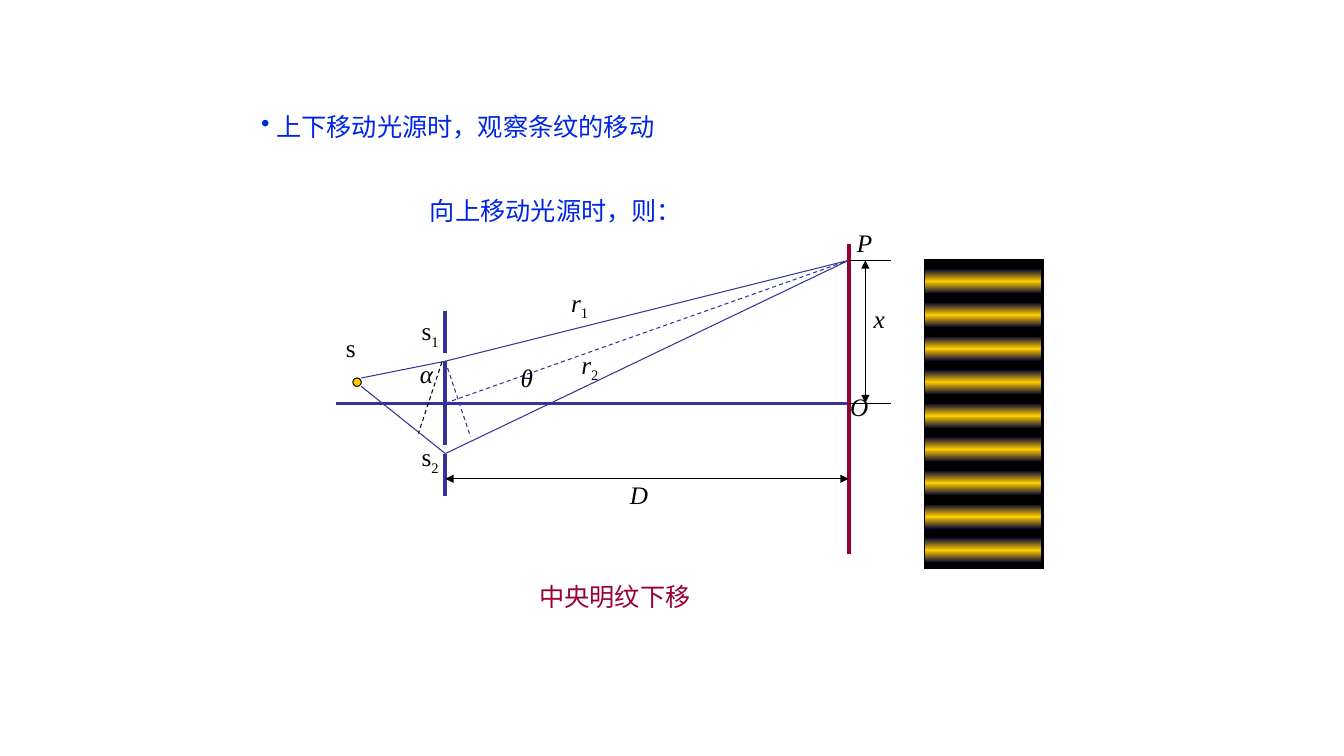
from lxml import etree
from pptx import Presentation
from pptx.dml.color import RGBColor
from pptx.enum.dml import MSO_LINE
from pptx.enum.shapes import MSO_CONNECTOR, MSO_SHAPE
from pptx.enum.text import MSO_ANCHOR, MSO_AUTO_SIZE, PP_ALIGN
from pptx.oxml.ns import qn
from pptx.util import Inches, Pt

COLORS = {
    "black": "000000",
    "indigo": "333399",
    "crimson": "990033",
    "blue": "0026E5",
    "gold": "FFCC00",
    "night": "000036",
}
FONT = "Times New Roman"
CELLS_PER_INCH = 12
SLIT_COLUMN, SCREEN_COLUMN, EDGE_COLUMN = 53, 101, 106
POINT_ROW, UPPER_ROW, AXIS_ROW, LOWER_ROW = 31, 43, 48, 54
BAND_COUNT, BAND_STEP = 9, 4


def grid(cells):
    return Inches(cells / CELLS_PER_INCH)


def color(name):
    return RGBColor.from_string(COLORS[name])


def add_line(slide, start, end, name="indigo", width=0.75, dashed=False, arrows=False):
    line = slide.shapes.add_connector(
        MSO_CONNECTOR.STRAIGHT, *[grid(cells) for cells in (*start, *end)])
    line.line.color.rgb = color(name)
    line.line.width = Pt(width)
    if dashed:
        line.line.dash_style = MSO_LINE.DASH
    if arrows:
        for tag in ("a:headEnd", "a:tailEnd"):
            etree.SubElement(line.line._ln, qn(tag), type="triangle")
    etree.SubElement(line._element.spPr, qn("a:effectLst"))


def add_filled(slide, kind, left, top, width, height, name):
    shape = slide.shapes.add_shape(
        kind, grid(left), grid(top), grid(width), grid(height))
    shape.shadow.inherit = False
    shape.fill.solid()
    shape.fill.fore_color.rgb = color(name)
    shape.line.color.rgb = color("black")
    shape.line.width = Pt(0.75)
    return shape


def add_band(slide, top):
    band = add_filled(slide, MSO_SHAPE.RECTANGLE, 110, top, 14, 3, "gold")
    band.fill.gradient()
    band.fill.gradient_angle = 90
    stops = band._element.spPr.find(qn("a:gradFill")).find(qn("a:gsLst"))
    for stop in list(stops):
        stops.remove(stop)
    for position, name in ((0, "night"), (50, "gold"), (100, "night")):
        stop = etree.SubElement(stops, qn("a:gs"), pos=str(position * 1000))
        etree.SubElement(stop, qn("a:srgbClr"), val=COLORS[name])


def add_text(slide, text, left, top, width, subscript="", name="black", italic=False,
             wrap=False, anchor=MSO_ANCHOR.TOP, align=PP_ALIGN.LEFT, bullet=False):
    box = slide.shapes.add_textbox(grid(left), grid(top), grid(width), grid(4.8))
    frame = box.text_frame
    frame.word_wrap = wrap
    frame.auto_size = MSO_AUTO_SIZE.SHAPE_TO_FIT_TEXT
    frame.vertical_anchor = anchor
    paragraph = frame.paragraphs[0]
    paragraph.alignment = align
    if bullet:
        properties = paragraph._p.get_or_add_pPr()
        indent = Inches(0.15)
        properties.set("marL", str(indent))
        properties.set("indent", str(-indent))
        etree.SubElement(properties, qn("a:buChar"), char="•")
    for index, content in enumerate(filter(None, (text, subscript))):
        run = paragraph.add_run()
        run.text = content
        run.font.name = FONT
        run.font.size = Pt(18)
        run.font.color.rgb = color(name)
        run.font.italic = italic and index == 0
        if index:
            run._r.get_or_add_rPr().set("baseline", "-25000")


def add_fringes(slide):
    add_filled(slide, MSO_SHAPE.RECTANGLE, 110, 30.85, 14.2, 36.85, "black")
    for index in range(BAND_COUNT):
        add_band(slide, 32 + index * BAND_STEP)


def add_apparatus(slide):
    add_line(slide, (40, AXIS_ROW), (SCREEN_COLUMN, AXIS_ROW), width=2.25)
    for top, bottom in ((37, 42), (43, 53), (54, 59)):
        add_line(slide, (SLIT_COLUMN, top), (SLIT_COLUMN, bottom), width=3)
    add_line(slide, (SCREEN_COLUMN, 29), (SCREEN_COLUMN, 66), "crimson", 3)
    add_filled(slide, MSO_SHAPE.OVAL, 42, 45, 1, 1, "gold")


def add_rays(slide):
    upper, lower = (SLIT_COLUMN, UPPER_ROW), (SLIT_COLUMN, LOWER_ROW)
    point = (SCREEN_COLUMN, POINT_ROW)
    add_line(slide, (43, 45), upper)
    add_line(slide, (43, 46), lower)
    add_line(slide, upper, point)
    add_line(slide, lower, point)
    add_line(slide, (SLIT_COLUMN, AXIS_ROW), point, dashed=True)
    add_line(slide, upper, (56, 52), dashed=True)
    add_line(slide, (52.6, 43.1), (49.8, 51.6), "black", dashed=True)


def add_dimensions(slide):
    add_line(slide, (SLIT_COLUMN, 57), (SCREEN_COLUMN, 57), "black", arrows=True)
    for row in (POINT_ROW, AXIS_ROW):
        add_line(slide, (SCREEN_COLUMN, row), (EDGE_COLUMN, row), "black")
    add_line(slide, (103, POINT_ROW), (103, AXIS_ROW), "black", arrows=True)


def add_labels(slide):
    add_text(slide, "s", 40, 39, 3.6)
    for subscript, top in (("1", 37), ("2", 52)):
        add_text(slide, "s", 49, top, 4.6, subscript=subscript)
    for text, left, top, width in (
            ("P", 100.8, 26.5, 4.2), ("O", 100, 46, 4.6),
            ("D", 73.8, 56.5, 4.6), ("x", 102.8, 35.5, 3.7)):
        add_text(slide, text, left, top, width, italic=True)
    for text, left, top, width in (("α", 48.8, 42.1, 5.6), ("θ", 60.8, 42.5, 6.2)):
        add_text(slide, text, left, top, width, italic=True, wrap=True)
    add_text(slide, "r", 66.8, 33.6, 4.6, subscript="1", italic=True)
    add_text(slide, "r", 68, 41, 8, subscript="2", italic=True, wrap=True)


def add_statements(slide):
    middle = MSO_ANCHOR.MIDDLE
    add_text(slide, "上下移动光源时，观察条纹的移动", 29.9, 12.7, 93.6,
             name="blue", wrap=True, anchor=middle, bullet=True)
    add_text(slide, "向上移动光源时，则：", 50, 22.6, 32.4, name="blue", anchor=middle)
    add_text(slide, "中央明纹下移", 63, 68.6, 20.4, name="crimson",
             anchor=middle, align=PP_ALIGN.CENTER)


def main():
    presentation = Presentation()
    presentation.slide_width = Inches(13.33)
    presentation.slide_height = Inches(7.5)
    slide = presentation.slides.add_slide(presentation.slide_layouts[6])
    add_fringes(slide)
    add_apparatus(slide)
    add_rays(slide)
    add_dimensions(slide)
    add_labels(slide)
    add_statements(slide)
    presentation.save("out.pptx")


if __name__ == "__main__":
    main()
